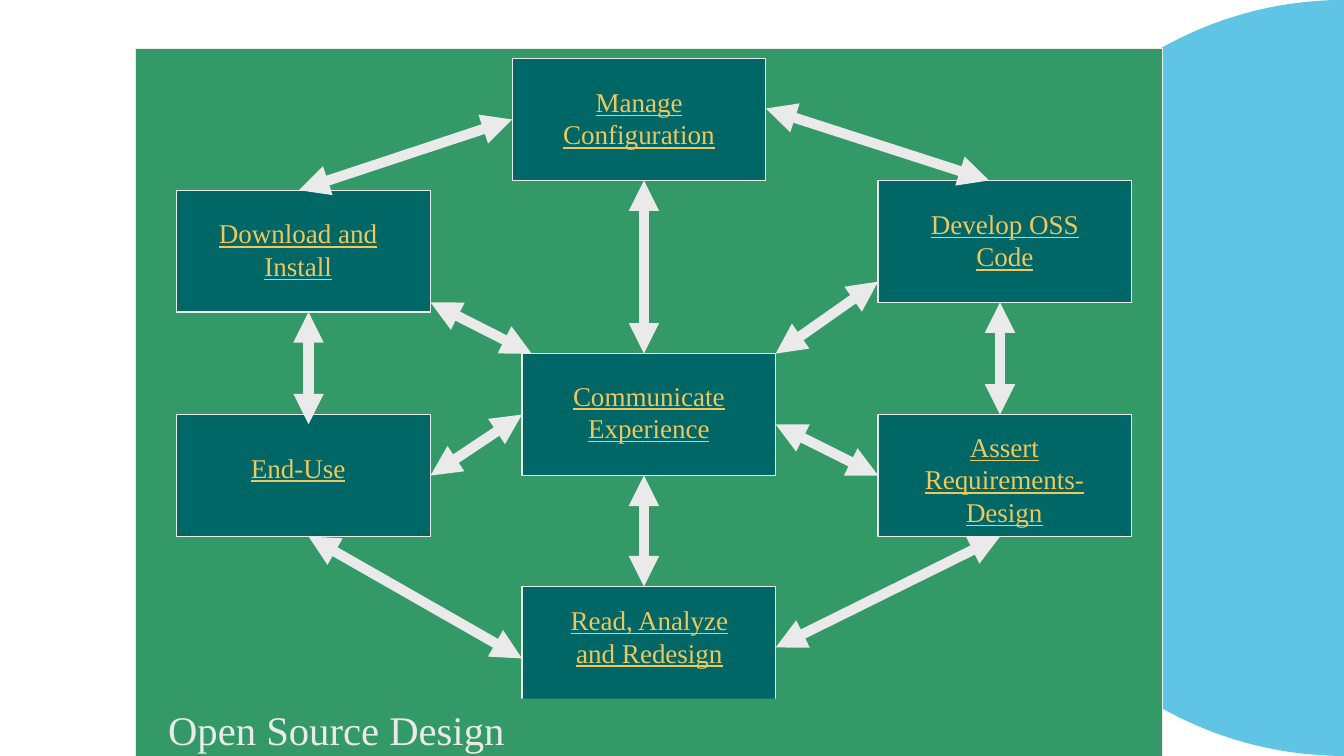
from math import cos, pi, sin

from pptx import Presentation
from pptx.dml.color import RGBColor
from pptx.enum.shapes import MSO_CONNECTOR as CONN, MSO_SHAPE as SHAPE
from pptx.enum.text import MSO_ANCHOR as ANCHOR, PP_ALIGN as ALIGN
from pptx.oxml.ns import qn
from pptx.util import Inches, Pt

SKY = RGBColor(0x60, 0xC4, 0xE4)
GREEN = RGBColor(0x33, 0x99, 0x66)
TEAL = RGBColor(0x00, 0x66, 0x66)
PALE = RGBColor(0xEA, 0xEA, 0xEA)
GOLD = RGBColor(0xEE, 0xC8, 0x5E)

SLIDE_W, SLIDE_H = 11.02, 6.2
NODE_W, NODE_H = 2.08, 1
LABEL_FONT = {"name": "Times New Roman", "size": Pt(16), "underline": True}
TITLE_FONT = {"name": "Times New Roman", "size": Pt(24)}

# Node: left and top in the panel, then label left, top and width in the node
NODES = {
    "Manage Configuration": (3.09, 0.08, 0.08, 0.17, 1.92),
    "Develop OSS Code": (6.09, 1.08, 0.08, 0.17, 1.92),
    "Download and Install": (0.34, 1.16, 0.08, 0.17, 1.83),
    "Assert Requirements-Design": (6.09, 3, 0.16, 0.08, 1.75),
    "End-Use": (0.34, 3, 0.08, 0.25, 1.83),
    "Read, Analyze and Redesign": (3.17, 4.41, 0.17, 0.09, 1.75),
    "Communicate Experience": (3.17, 2.5, 0.08, 0.16, 1.92),
}
MANAGE, DEVELOP, DOWNLOAD, ASSERT, END_USE, READ, COMMUNICATE = NODES

# Each arrow joins two points, given as a node and an offset from its corner
ARROWS = [
    (MANAGE, 0, 0.5, DOWNLOAD, 1, 0),
    (DOWNLOAD, 1.08, 1, END_USE, 1.08, 0.08),
    (END_USE, 1.08, 1, READ, 0, 0.59),
    (READ, NODE_W, 0.5, ASSERT, 1, 1),
    (ASSERT, 1, 0, DEVELOP, 1, 1),
    (DEVELOP, 0.91, 0, MANAGE, NODE_W, 0.41),
    (END_USE, NODE_W, 0.5, COMMUNICATE, 0, 0.5),
    (COMMUNICATE, 1, 1, READ, 1, 0),
    (COMMUNICATE, NODE_W, 0.58, ASSERT, 0, 0.5),
    (MANAGE, 1.08, 1, COMMUNICATE, 1, 0),
    (DOWNLOAD, NODE_W, 0.92, COMMUNICATE, 0.08, 0),
    (COMMUNICATE, NODE_W, 0, DEVELOP, 0, 0.83),
]


def paint(s, fill, line=None):
    s.shadow.inherit = False
    s.fill.solid()
    s.fill.fore_color.rgb = fill
    if line is None:
        s.line.fill.background()
    else:
        s.line.color.rgb = line
        s.line.width = Pt(0.75)


def add_rect(shapes, x, y, w, h, fill, line=None):
    s = shapes.add_shape(SHAPE.RECTANGLE, *map(Inches, (x, y, w, h)))
    paint(s, fill, line)
    return s


def write(s, text, font, color, align):
    tf = s.text_frame
    tf.word_wrap = True
    tf.vertical_anchor = ANCHOR.TOP
    p = tf.paragraphs[0]
    p.alignment = align
    r = p.add_run()
    r.text = text
    for name, value in font.items():
        setattr(r.font, name, value)
    r.font.color.rgb = color


def add_half_disc(shapes, x, y, w, h, steps=90):
    """Fill the box with the left half of an ellipse."""
    angles = [pi * i / steps for i in range(steps + 1)]
    points = [(Inches(x + w - w * sin(a)), Inches(y + h / 2 * (1 - cos(a))))
              for a in angles]
    builder = shapes.build_freeform(*points[0], scale=1.0)
    builder.add_line_segments(points[1:], close=True)
    paint(builder.convert_to_shape(), SKY)


def add_node(shapes, x, y, text, label_x, label_y, label_w):
    add_rect(shapes, x, y, NODE_W, NODE_H, TEAL, PALE)
    label = shapes.add_textbox(Inches(x + label_x), Inches(y + label_y),
                               Inches(label_w), Inches(0.6))
    write(label, text, LABEL_FONT, GOLD, ALIGN.CENTER)


def add_arrow(shapes, x1, y1, x2, y2):
    c = shapes.add_connector(CONN.STRAIGHT, *map(Inches, (x1, y1, x2, y2)))
    c.line.color.rgb = PALE
    c.line.width = Pt(6)
    sp_pr = c._element.spPr
    ln = sp_pr.find(qn("a:ln"))
    for end in ("a:headEnd", "a:tailEnd"):
        ln.append(ln.makeelement(qn(end), {"type": "triangle"}))
    sp_pr.append(sp_pr.makeelement(qn("a:effectLst"), {}))


def add_diagram(shapes, x, y, w, h):
    add_rect(shapes, x, y, w, h, GREEN, PALE)
    for text, (left, top, *label) in NODES.items():
        add_node(shapes, x + left, y + top, text, *label)
    for start, dx1, dy1, end, dx2, dy2 in ARROWS:
        x1, y1 = NODES[start][:2]
        x2, y2 = NODES[end][:2]
        add_arrow(shapes, x + x1 + dx1, y + y1 + dy1,
                  x + x2 + dx2, y + y2 + dy2)
    title = add_rect(shapes, x + 0.17, y + 5.33, 5.83, 0.47, GREEN)
    write(title, "Open Source Design", TITLE_FONT, PALE, ALIGN.LEFT)


def main():
    prs = Presentation()
    prs.slide_width, prs.slide_height = Inches(SLIDE_W), Inches(SLIDE_H)
    shapes = prs.slides.add_slide(prs.slide_layouts[6]).shapes
    add_half_disc(shapes, 7.95, 0, 3.07, SLIDE_H)
    add_diagram(shapes, 1.11, 0.4, 8.42, 5.83)
    prs.save("out.pptx")


if __name__ == "__main__":
    main()
